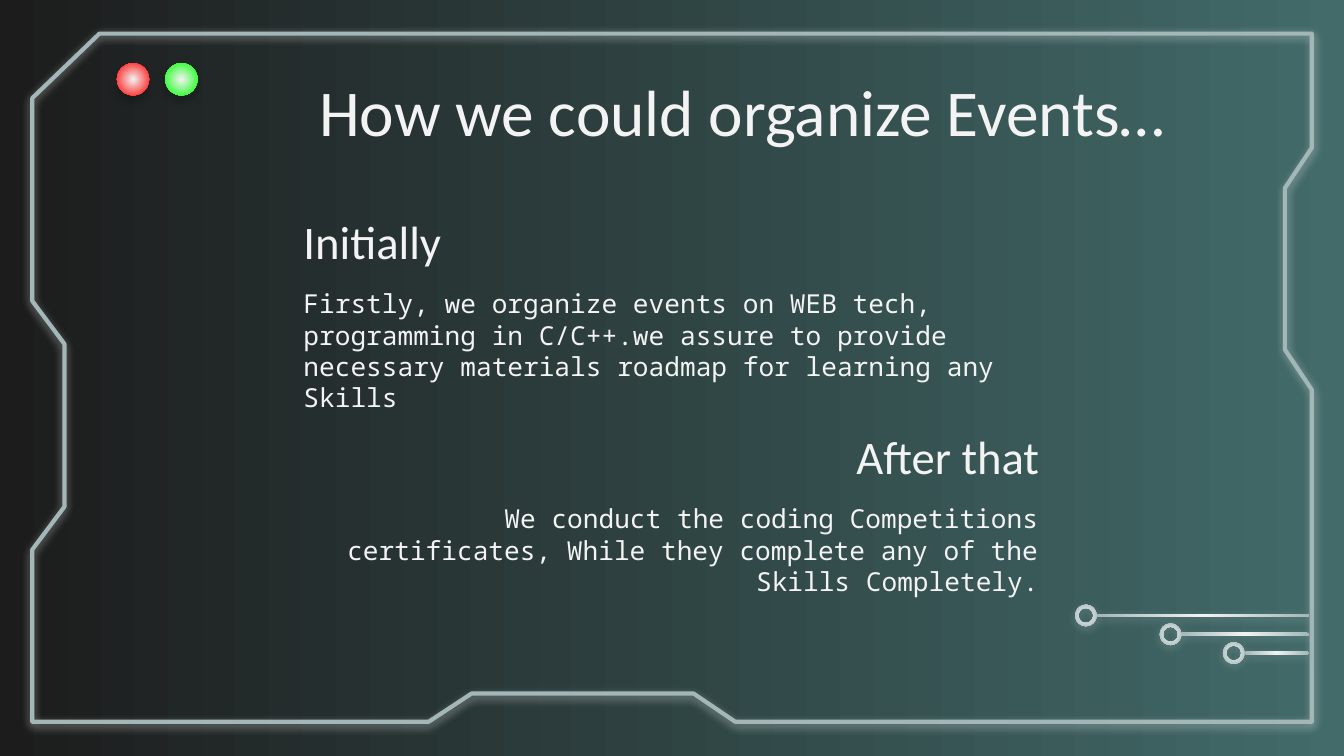
from lxml.etree import SubElement
from pptx import Presentation
from pptx.dml.color import RGBColor
from pptx.enum.shapes import MSO_SHAPE
from pptx.enum.text import MSO_ANCHOR, PP_ALIGN
from pptx.oxml.ns import qn
from pptx.util import Inches, Pt

WHITE = RGBColor(0xF3, 0xF3, 0xF3)
STEEL = RGBColor(0xA3, 0xB7, 0xB9)
DARK = RGBColor(0x1C, 0x1C, 0x1C)
TEAL = RGBColor(0x42, 0x6B, 0x6A)
RED = RGBColor(0xFF, 0x00, 0x00)
GREEN = RGBColor(0x00, 0xFF, 0x00)
BLACK = RGBColor(0x00, 0x00, 0x00)

HEADING_FONT = "Calibri"
BODY_FONT = "Noto Sans Mono"


def set_gradient(fill, first, last):
    fill.gradient()
    for stop, color in zip(fill.gradient_stops, (first, last)):
        stop.color.rgb = color


def set_radial_fill(shape, edge_color):
    """Fill from a white centre to edge_color, without an outline."""
    set_gradient(shape.fill, WHITE, edge_color)
    gradient = shape._element.spPr.find(qn("a:gradFill"))
    gradient.remove(gradient.find(qn("a:lin")))
    circle = SubElement(gradient, qn("a:path"), path="circle")
    SubElement(circle, qn("a:fillToRect"), l="50000", t="50000", r="50000", b="50000")
    shape.line.fill.background()


def add_glow(shape, color, opacity, distance):
    """Add a soft shadow straight below the shape; opacity is in percent."""
    shape.shadow.inherit = False
    effects = shape._element.spPr.find(qn("a:effectLst"))
    shadow = SubElement(effects, qn("a:outerShdw"), blurRad=str(Pt(4.5)),
                        dist=str(Pt(distance)), dir="5400000",
                        algn="bl", rotWithShape="0")
    shadow_color = SubElement(shadow, qn("a:srgbClr"), val=str(color))
    SubElement(shadow_color, qn("a:alpha"), val=str(opacity * 1000))


def add_frame(slide, left, top, width, height):
    """Draw the panel outline, with a cut corner and a notch on three sides."""
    corners = [
        (width, height), (5.23, height), (4.92, height - 0.21),
        (3.27, height - 0.21), (2.95, height), (0, height),
        (0, 3.84), (0.24, 3.52), (0.24, 2.31), (0, 1.99),
        (0, 0.48), (0.5, 0), (width, 0),
        (width, 0.85), (width - 0.2, 1.15), (width - 0.2, 2.35), (width, 2.65),
    ]
    points = [(Inches(left + x), Inches(top + y)) for x, y in corners]
    builder = slide.shapes.build_freeform(*points[0])
    builder.add_line_segments(points[1:], close=True)
    frame = builder.convert_to_shape()
    frame.fill.background()
    frame.line.color.rgb = STEEL
    frame.line.width = Pt(2.25)
    add_glow(frame, WHITE, 50, 1.5)


def add_text(slide, left, top, width, height, text, size, font,
             align=PP_ALIGN.LEFT, anchor=MSO_ANCHOR.MIDDLE):
    box = slide.shapes.add_textbox(Inches(left), Inches(top), Inches(width), Inches(height))
    frame = box.text_frame
    frame.word_wrap = True
    frame.vertical_anchor = anchor
    frame.margin_left = frame.margin_right = Inches(0.1)
    frame.margin_top = frame.margin_bottom = Inches(0.1)
    frame.text = text
    paragraph = frame.paragraphs[0]
    paragraph.alignment = align
    font_format = paragraph.runs[0].font
    font_format.size = Pt(size)
    font_format.name = font
    font_format.color.rgb = WHITE


def add_step(slide, left, top, width, heading, body, body_width, body_height, align):
    heading_height = 0.5
    add_text(slide, left, top, width, heading_height, heading, 25, HEADING_FONT, align)
    add_text(slide, left, top + heading_height, body_width, body_height, body,
             14, BODY_FONT, align, MSO_ANCHOR.TOP)


def add_circuit(slide, right, top):
    """Draw three circuit tracks that end at right, each led by a ring."""
    ring_size, bar_height, pitch = 0.16, 0.02, 0.14
    for row, (ring_left, bar_left) in enumerate([(8, 8.16), (8.63, 8.78), (9.1, 9.26)]):
        ring_top = top + row * pitch
        bar_top = ring_top + (ring_size - bar_height) / 2
        bar = slide.shapes.add_shape(
            MSO_SHAPE.RECTANGLE, Inches(bar_left), Inches(bar_top),
            Inches(right - bar_left), Inches(bar_height))
        ring = slide.shapes.add_shape(
            MSO_SHAPE.DONUT, Inches(ring_left), Inches(ring_top),
            Inches(ring_size), Inches(ring_size))
        ring.adjustments[0] = 0.15
        for part in (bar, ring):
            set_radial_fill(part, STEEL)
            add_glow(part, STEEL, 50, 1.5)


def add_lights(slide, left, top):
    size, pitch = 0.24, 0.36
    for index, color in enumerate((RED, GREEN)):
        light = slide.shapes.add_shape(
            MSO_SHAPE.OVAL, Inches(left + index * pitch), Inches(top),
            Inches(size), Inches(size))
        set_radial_fill(light, color)
        add_glow(light, BLACK, 20, 3.8)


def main():
    presentation = Presentation()
    presentation.slide_width = Inches(10)
    presentation.slide_height = Inches(10) * 9 // 16
    slide = presentation.slides.add_slide(presentation.slide_layouts[6])
    set_gradient(slide.background.fill, DARK, TEAL)
    slide.background.fill.gradient_angle = 0

    add_frame(slide, 0.24, 0.25, 9.52, 5.12)
    add_step(slide, 2.16, 1.54, 5.67, "Initially",
             "Firstly, we organize events on WEB tech, programming in C/C++.we assure "
             "to provide necessary materials roadmap for learning any Skills",
             6.13, 0.81, PP_ALIGN.LEFT)
    add_step(slide, 2.16, 3.14, 5.67, "After that",
             "We conduct the coding Competitions certificates, While they complete "
             "any of the Skills Completely.",
             5.67, 0.7, PP_ALIGN.RIGHT)
    add_text(slide, 1.31, 0.59, 8.43, 0.47, "How we could organize Events…",
             35, HEADING_FONT, PP_ALIGN.CENTER)
    add_circuit(slide, 9.74, 4.5)
    add_lights(slide, 0.87, 0.47)
    presentation.save("out.pptx")


if __name__ == "__main__":
    main()
